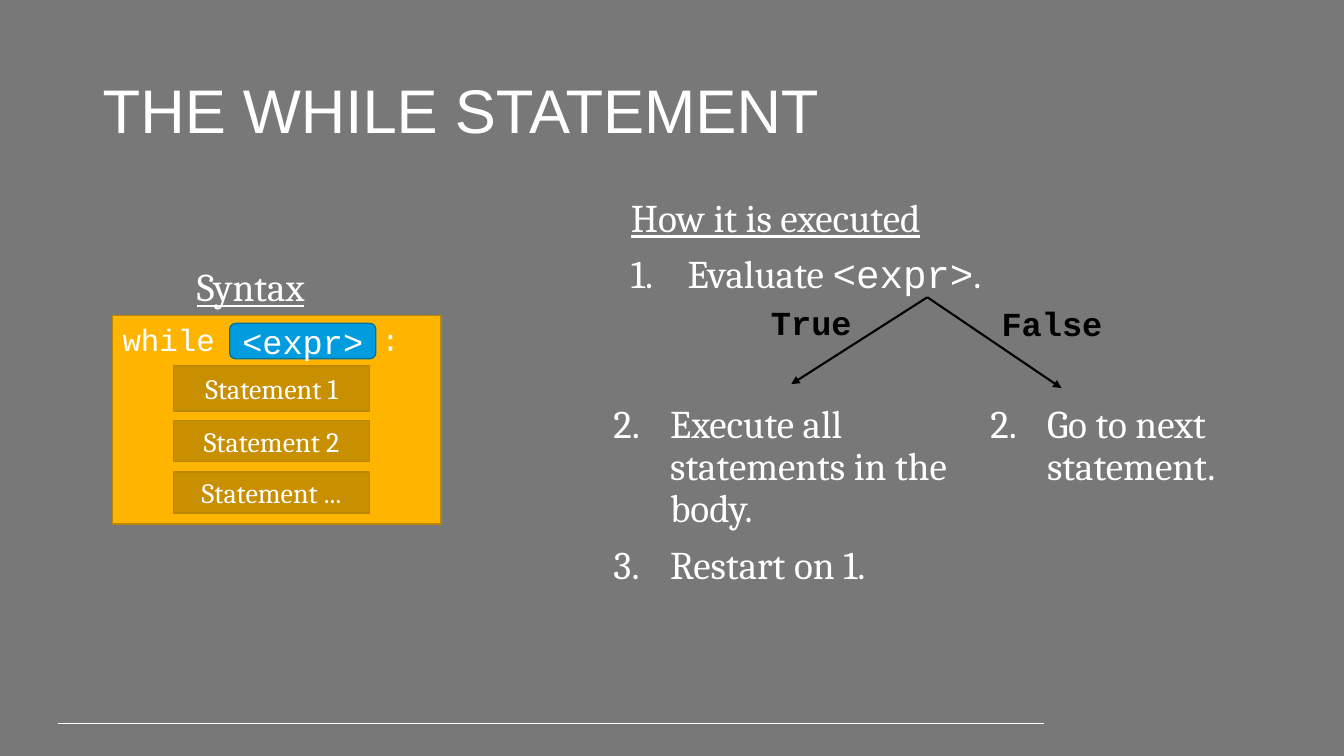
from lxml import etree
from pptx import Presentation
from pptx.dml.color import RGBColor
from pptx.enum.shapes import MSO_CONNECTOR, MSO_SHAPE
from pptx.enum.text import MSO_ANCHOR, PP_ALIGN
from pptx.oxml.ns import qn
from pptx.util import Cm, Pt

RECT, ROUND = MSO_SHAPE.RECTANGLE, MSO_SHAPE.ROUNDED_RECTANGLE
STRAIGHT = MSO_CONNECTOR.STRAIGHT
TOP, MIDDLE = MSO_ANCHOR.TOP, MSO_ANCHOR.MIDDLE
LEFT, CENTER = PP_ALIGN.LEFT, PP_ALIGN.CENTER
COLORS = {
    "background": "787878", "white": "FFFFFF", "black": "000000",
    "block": "FFB500", "block_line": "BD8600", "statement": "C88F00",
    "expr": "009CDE", "expr_line": "0073A4",
}
BODY, CODE, HEAD = "Cambria", "Courier New", "Arial"


def rgb(name):
    """Return the named colour."""
    return RGBColor.from_string(COLORS[name])


def add_run(p, text, font, size, color="white", bold=False, underline=False):
    """Add one formatted run to a paragraph."""
    r = p.add_run()
    r.text = text
    r.font.name, r.font.size = font, Pt(size)
    r.font.bold, r.font.underline = bold, underline
    r.font.color.rgb = rgb(color)


def add_box(s, x, y, w, h, anchor=TOP):
    """Add a wrapping text box and return its text frame."""
    tf = s.shapes.add_textbox(Cm(x), Cm(y), Cm(w), Cm(h)).text_frame
    tf.word_wrap = True
    tf.vertical_anchor = anchor
    return tf


def add_block(s, kind, x, y, w, h, fill, line, anchor=MIDDLE, align=CENTER):
    """Add a filled shape and return its first paragraph."""
    sp = s.shapes.add_shape(kind, Cm(x), Cm(y), Cm(w), Cm(h))
    sp.shadow.inherit = False
    sp.fill.solid()
    sp.fill.fore_color.rgb = rgb(fill)
    sp.line.color.rgb = rgb(line)
    sp.line.width = Pt(1)
    tf = sp.text_frame
    tf.word_wrap = True
    tf.vertical_anchor = anchor
    p = tf.paragraphs[0]
    p.alignment = align
    return p


def add_line(s, x1, y1, x2, y2, color, width, arrow=False):
    """Add a straight line, with an arrowhead at its end if wanted."""
    line = s.shapes.add_connector(STRAIGHT, Cm(x1), Cm(y1), Cm(x2), Cm(y2))
    line.line.color.rgb = rgb(color)
    line.line.width = Pt(width)
    if arrow:
        ln = line.line._get_or_add_ln()
        etree.SubElement(ln, qn("a:tailEnd"), type="triangle")
    etree.SubElement(line._element.spPr, qn("a:effectLst"))


def number(p, start):
    """Number a paragraph with a hanging indent."""
    pPr = p._p.get_or_add_pPr()
    pPr.set("marL", str(Cm(1.43)))
    pPr.set("indent", str(-Cm(1.43)))
    etree.SubElement(pPr, qn("a:buFont"), typeface="+mj-lt")
    etree.SubElement(pPr, qn("a:buAutoNum"), type="arabicPeriod", startAt=str(start))


def add_steps(s, x, y, w, h, steps, start, heading=None):
    """Add numbered steps, each a list of text and font pairs."""
    tf = add_box(s, x, y, w, h)
    p = tf.paragraphs[0]
    p.line_spacing = 0.9
    if heading:
        add_run(p, heading, BODY, 28, underline=True)
    for i, step in enumerate(steps):
        if heading or i:
            p = tf.add_paragraph()
            p.line_spacing = 0.9
            p.space_before = Pt(10)
        number(p, start)
        for text, font in step:
            add_run(p, text, font, 28)


def add_title(s, x, y, w, h):
    """Add the slide title."""
    p = add_box(s, x, y, w, h, MIDDLE).paragraphs[0]
    p.line_spacing = 0.9
    add_run(p, "THE WHILE STATEMENT", HEAD, 44)


def add_syntax(s, x, y, w, h):
    """Draw the heading and the nested blocks of the while syntax."""
    add_steps(s, x + 1.87, y - 1.32, 5, 1.3, [], 1, "Syntax")
    p = add_block(s, RECT, x, y, w, h, "block", "block_line", TOP, LEFT)
    tabs = etree.SubElement(p._p.get_or_add_pPr(), qn("a:tabLst"))
    etree.SubElement(tabs, qn("a:tab"), pos=str(Cm(6.52)), algn="l")
    add_run(p, "while\t:", CODE, 22)
    p = add_block(s, ROUND, x + 2.95, y + 0.2, 3.68, 0.89, "expr", "expr_line")
    add_run(p, "<expr>", CODE, 24)
    for label, dy, height in (("1", 1.27, 1.14), ("2", 2.64, 1.04), ("...", 3.94, 1.04)):
        p = add_block(s, RECT, x + 1.53, y + dy, 4.95, height, "statement", "block_line")
        add_run(p, f"Statement {label}", BODY, 20)


def add_execution(s, x, y, w):
    """Draw the execution steps and the two branches."""
    add_steps(s, x + 0.44, y, w - 2.21, 3.05,
              [[("Evaluate ", BODY), ("<expr>", CODE), (".", BODY)]], 1, "How it is executed")
    add_steps(s, x, y + 5.18, 9.45, 5.16,
              [[("Execute all statements in the body.", BODY)], [("Restart on 1.", BODY)]], 2)
    add_steps(s, x + 9.5, y + 5.18, 6.83, 3.15, [[("Go to next statement.", BODY)]], 2)
    branches = (("True", 3.97, 2.61, 3.1, 4.73, 4.8), ("False", 9.78, 2.64, 4.62, 11.54, 4.9))
    for label, dx, dy, width, end_x, end_y in branches:
        add_line(s, x + 8.16, y + 2.61, x + end_x, y + end_y, "black", 1.5, True)
        p = add_box(s, x + dx, y + dy, width, 1.27).paragraphs[0]
        add_run(p, label, CODE, 24, "black", bold=True)


def main():
    """Build and save the slide."""
    prs = Presentation()
    prs.slide_width, prs.slide_height = Cm(33.87), Cm(19.05)
    s = prs.slides.add_slide(prs.slide_layouts[6])
    s.background.fill.solid()
    s.background.fill.fore_color.rgb = rgb("background")
    add_line(s, 1.45, 18.24, 26.31, 18.24, "white", 0.75)
    add_title(s, 2.34, 1.02, 29.21, 3.68)
    add_syntax(s, 2.84, 7.95, 8.28, 5.26)
    add_execution(s, 15.21, 4.88, 16.33)
    prs.save("out.pptx")


if __name__ == "__main__":
    main()
